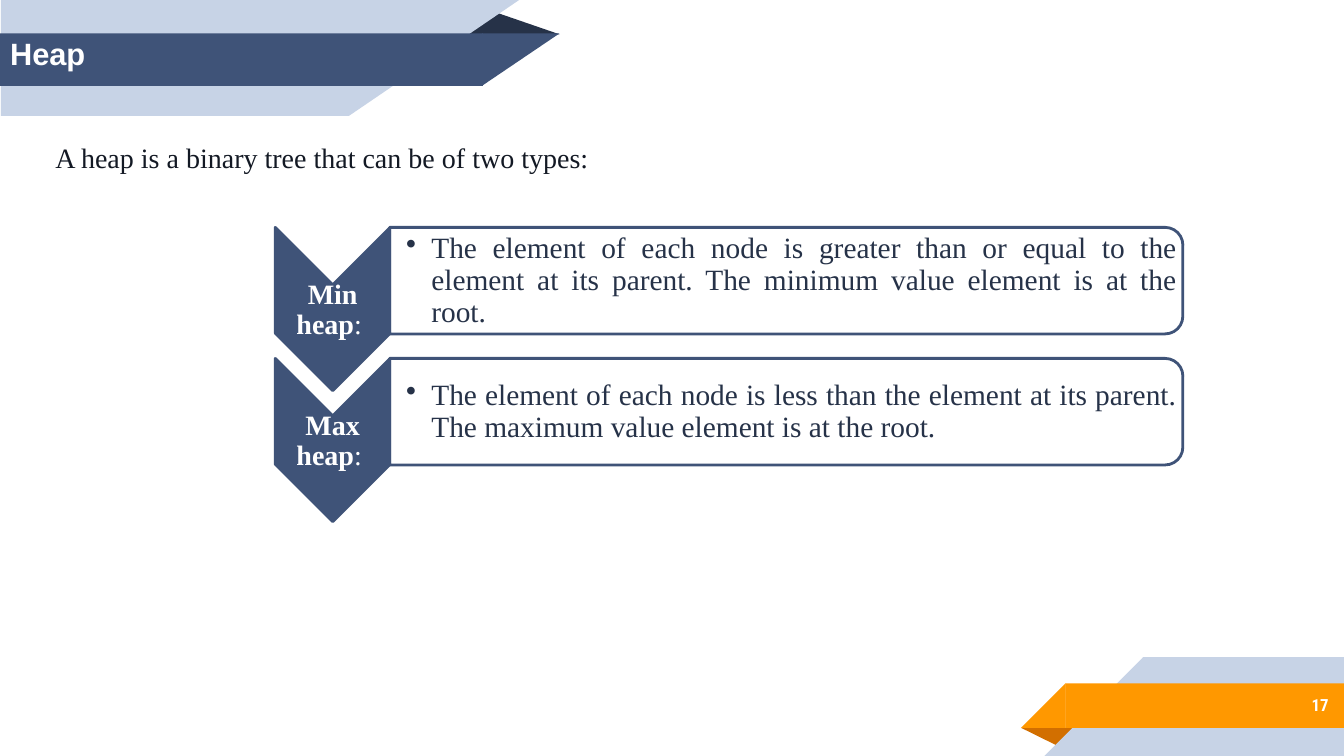
import lxml.etree
import pptx
import pptx.dml.color
import pptx.enum.shapes
import pptx.enum.text
import pptx.oxml.ns
import pptx.util

Pt = pptx.util.Pt
SHAPE = pptx.enum.shapes.MSO_SHAPE
ALIGN = pptx.enum.text.PP_ALIGN
ANCHOR = pptx.enum.text.MSO_ANCHOR
COLORS = {
    "navy": "3F5378", "dark": "263248", "pale": "C7D3E6", "ink": "131924",
    "orange": "FF9800", "rust": "D26F00", "white": "FFFFFF",
}
SERIF = "Times New Roman"
ROW_STEP = 93.6
HEAPS = [
    ("Min heap", "The element of each node is greater than or equal to the element at its parent. "
                 "The minimum value element is at the root."),
    ("Max heap", "The element of each node is less than the element at its parent. "
                 "The maximum value element is at the root."),
]


class HeapSlide:
    """Hold the style and the current slide, and draw each kind of element in points."""

    def __init__(self, presentation):
        self.slide = presentation.slides.add_slide(presentation.slide_layouts[5])

    def color(self, name):
        return pptx.dml.color.RGBColor.from_string(COLORS[name])

    def shape(self, kind, box, fill, rotation=0, line=None, opacity=None, adjustment=None):
        left, top, width, height = box
        if rotation in (90, 270):
            left, top = left + (width - height) / 2, top + (height - width) / 2
            width, height = height, width
        shape = self.slide.shapes.add_shape(kind, Pt(left), Pt(top), Pt(width), Pt(height))
        shape.rotation = rotation
        shape.shadow.inherit = False
        shape.fill.solid()
        shape.fill.fore_color.rgb = self.color(fill)
        if adjustment is not None:
            shape.adjustments[0] = adjustment
        if opacity is not None:
            fill_color = shape.element.spPr.find(".//" + pptx.oxml.ns.qn("a:srgbClr"))
            alpha = lxml.etree.SubElement(fill_color, pptx.oxml.ns.qn("a:alpha"))
            alpha.set("val", str(opacity * 1000))
        if line:
            shape.line.color.rgb = self.color(line)
            shape.line.width = Pt(2)
        else:
            shape.line.fill.background()

    def add_runs(self, shape, runs, size, color, font=SERIF, align=ALIGN.LEFT, anchor=ANCHOR.TOP,
                 insets=(7.2, 3.6, 7.2, 3.6)):
        frame = shape.text_frame
        frame.word_wrap = True
        frame.auto_size = pptx.enum.text.MSO_AUTO_SIZE.NONE
        frame.vertical_anchor = anchor
        frame.margin_left, frame.margin_top, frame.margin_right, frame.margin_bottom = map(Pt, insets)
        paragraph = frame.paragraphs[0]
        paragraph.alignment = align
        for text, bold in runs:
            run = paragraph.add_run()
            run.text = text
            run.font.name = font
            run.font.size = Pt(size)
            run.font.bold = bold
            run.font.color.rgb = self.color(color)
        return paragraph

    def text(self, box, runs, size, color, **style):
        shape = self.slide.shapes.add_textbox(*map(Pt, box))
        return self.add_runs(shape, runs, size, color, **style)

    def title(self, box, text):
        title = self.slide.shapes.title
        title.left, title.top, title.width, title.height = map(Pt, box)
        self.add_runs(title, [(text, True)], 22, "white", font="Arial")
        title.element.getparent().append(title.element)

    def bullet(self, paragraph, indent):
        properties = paragraph._p.get_or_add_pPr()
        properties.set("marL", str(Pt(indent)))
        properties.set("indent", str(-Pt(indent)))
        lxml.etree.SubElement(properties, pptx.oxml.ns.qn("a:buChar")).set("char", "•")

    def heap_row(self, offset, name, description):
        self.shape(SHAPE.CHEVRON, (196.6, 162.4 + offset, 82.1, 116.6), "navy", 90, "navy")
        label = self.text((196.6, 203.8 + offset, 82.1, 35.3), [(name, True), (": ", False)],
                          20, "white", align=ALIGN.CENTER, anchor=ANCHOR.MIDDLE, insets=[0.7] * 4)
        label.line_spacing = 0.9
        label.space_after = Pt(7)
        self.shape(SHAPE.ROUND_2_SAME_RECTANGLE, (278.3, 162.4 + offset, 566.6, 76.1),
                   "white", 90, "navy", opacity=90)
        item = self.text((278.6, 166.3 + offset, 563, 68.4), [(description, False)], 21, "dark",
                         align=ALIGN.JUSTIFY, anchor=ANCHOR.MIDDLE, insets=(11.5, 0.7, 0.7, 0.7))
        item.line_spacing = 0.9
        item.space_after = Pt(3)
        self.bullet(item, 18)

    def ribbons(self):
        self.shape(SHAPE.ISOSCELES_TRIANGLE, (328.3, 7.9, 71.3, 16.6), "dark", adjustment=0.324)
        self.shape(SHAPE.RECTANGLE, (0.7, 0, 248.5, 82.8), "pale")
        self.shape(SHAPE.RIGHT_TRIANGLE, (249.2, 0, 121.6, 82.8), "pale", 90)
        self.shape(SHAPE.RECTANGLE, (0, 23.9, 345, 37.4), "navy")
        self.shape(SHAPE.RIGHT_TRIANGLE, (344.3, 23.9, 55.3, 37.4), "navy", 90)
        self.shape(SHAPE.ISOSCELES_TRIANGLE, (729.4, 519.9, 41, 13.7), "rust", 180, adjustment=0.324)
        self.shape(SHAPE.RECTANGLE, (816.4, 469.4, 143.6, 70.6), "pale")
        self.shape(SHAPE.RIGHT_TRIANGLE, (745.9, 469.4, 70.6, 70.6), "pale", 270)
        self.shape(SHAPE.RECTANGLE, (761, 488.1, 199, 31.8), "orange")
        self.shape(SHAPE.RIGHT_TRIANGLE, (729.4, 488.1, 31.8, 31.8), "orange", 270)


def main():
    presentation = pptx.Presentation()
    presentation.slide_width = Pt(960)
    presentation.slide_height = Pt(540)
    heap_slide = HeapSlide(presentation)
    heap_slide.ribbons()
    heap_slide.text((800, 486.7, 156.2, 33.1), [("17", True)], 12, "white", font="Roboto Condensed",
                    align=ALIGN.RIGHT, anchor=ANCHOR.MIDDLE, insets=[7.2] * 4)
    heap_slide.title((0, 20.9, 695.5, 75.6), "Heap")
    heap_slide.text((32.4, 96.5, 901.4, 31.7),
                    [("A heap is a binary tree that can be of two types:", False)], 20, "ink")
    for index, (name, description) in enumerate(HEAPS):
        heap_slide.heap_row(index * ROW_STEP, name, description)
    presentation.save("out.pptx")


if __name__ == "__main__":
    main()
